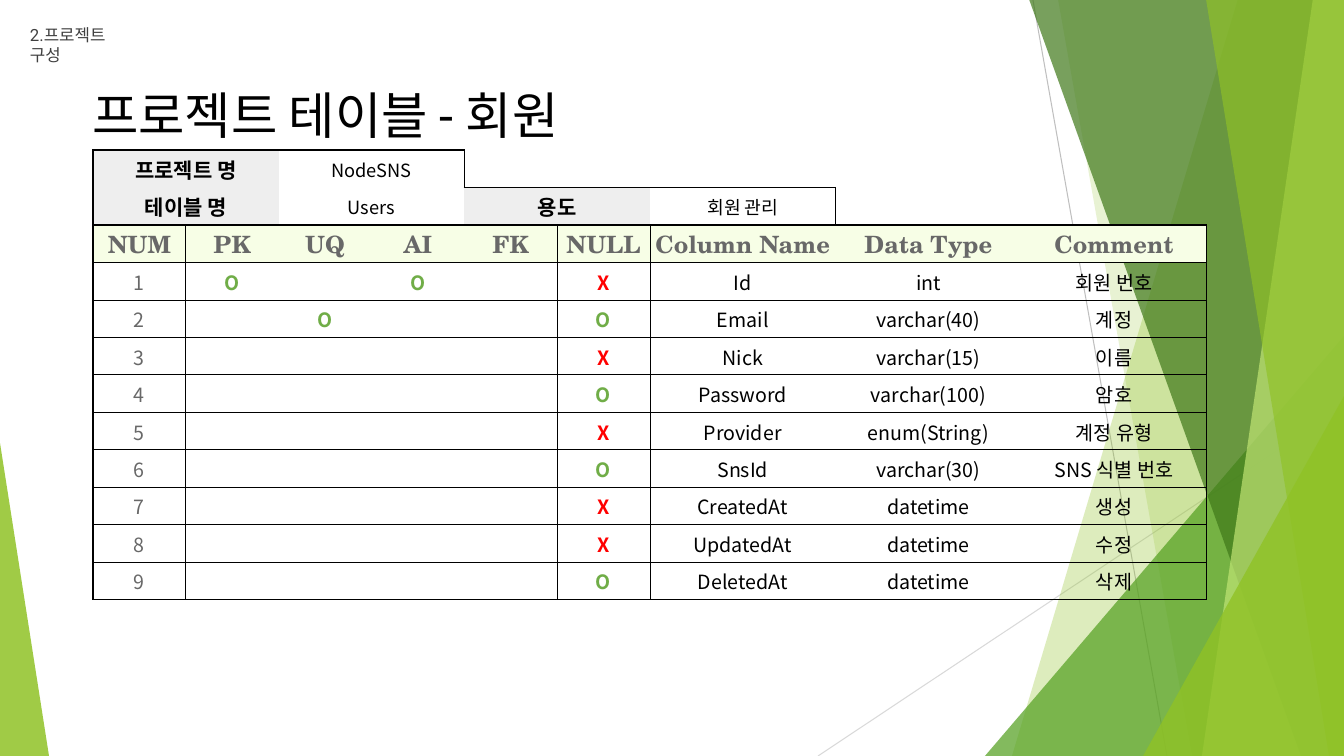
from lxml import etree
from pptx import Presentation
from pptx import util as u
from pptx.dml import color
from pptx.enum import shapes, text
from pptx.oxml import ns

PX = 12192000 / 1344
WIDE, HIGH = 1344, 756
SANS, SERIF, LATIN = "Noto Sans CJK KR", "TeX Gyre Schola", "Roboto"
BLACK, GRAY, GREEN, RED = "000000", "686868", "70AD47", "FF0000"
LABEL, HEAD = "EEEEEE", "F7FEE6"

FLAGS = ["PK", "UQ", "AI", "FK"]
ROWS = [
    ("PK AI", "X", "Id", "int", "회원 번호"),
    ("UQ", "O", "Email", "varchar(40)", "계정"),
    ("", "X", "Nick", "varchar(15)", "이름"),
    ("", "O", "Password", "varchar(100)", "암호"),
    ("", "X", "Provider", "enum(String)", "계정 유형"),
    ("", "O", "SnsId", "varchar(30)", "SNS 식별 번호"),
    ("", "X", "CreatedAt", "datetime", "생성"),
    ("", "X", "UpdatedAt", "datetime", "수정"),
    ("", "O", "DeletedAt", "datetime", "삭제"),
]


def px(*vals):
    return [u.Emu(round(val * PX)) for val in vals]


def rgb(code):
    return color.RGBColor.from_string(code)


def sub(node, tag, **attrs):
    return etree.SubElement(node, ns.qn(tag), **attrs)


def write(frame, words, size=14, face=SANS, tint=BLACK, bold=False, align="LEFT"):
    para = frame.paragraphs[0]
    para.alignment = getattr(text.PP_ALIGN, align)
    run = para.add_run()
    run.text = words
    font = run.font
    font.size, font.bold, font.name = u.Pt(size), bold, face
    font.color.rgb = rgb(tint)
    sub(run._r.get_or_add_rPr(), "a:ea", typeface=SANS)


def paint(shape, tint, alpha):
    shape.shadow.inherit = False
    shape.line.fill.background()
    shape.fill.solid()
    shape.fill.fore_color.rgb = rgb(tint)
    fill = shape.element.spPr.find(".//" + ns.qn("a:srgbClr"))
    sub(fill, "a:alpha", val=str(alpha * 1000))


def line(slide, ends, tint):
    link = slide.shapes.add_connector(shapes.MSO_CONNECTOR.STRAIGHT, *px(*ends))
    link.line.color.rgb = rgb(tint)
    link.line.width = u.Pt(0.75)
    sub(link.element.spPr, "a:effectLst")


def blade(slide, top, foot, tint, alpha):
    pen = slide.shapes.build_freeform(top, -1, scale=PX)
    pen.add_line_segments([(WIDE, -1), (WIDE, HIGH), (foot, HIGH)])
    paint(pen.convert_to_shape(), tint, alpha)


def wedge(slide, box, tip, tint, alpha):
    shape = slide.shapes.add_shape(shapes.MSO_SHAPE.ISOSCELES_TRIANGLE, *px(*box))
    shape.adjustments[0] = tip
    paint(shape, tint, alpha)


def decor(slide):
    line(slide, (1033, 0, 1167, HIGH), "BFBFBF")
    line(slide, (WIDE, 406, 818, HIGH), "D9D9D9")
    blade(slide, 1238, 1012, "90C226", 30)
    blade(slide, 1058, 1192, "90C226", 20)
    wedge(slide, (985, 336, 359, 420), 1, "54A021", 72)
    blade(slide, 1029, 1301, "3F7819", 70)
    blade(slide, 1313, 1202, "C0E474", 70)
    blade(slide, 1206, 1329, "90C226", 65)
    wedge(slide, (1143, 396, 201, 360), 1, "90C226", 80)
    wedge(slide, (0, 443, 49, 313), 0, "90C226", 85)


def title(slide):
    head = slide.shapes.title
    head.left, head.top, head.width, head.height = px(82, 79, 979, 72)
    frame = head.text_frame
    frame.vertical_anchor = text.MSO_ANCHOR.TOP
    frame.auto_size = text.MSO_AUTO_SIZE.SHAPE_TO_FIT_TEXT
    write(frame, "프로젝트 테이블 - 회원", size=36, face=LATIN)
    head.element.getparent().append(head.element)


def label(slide):
    frame = slide.shapes.add_textbox(*px(20, 20, 126, 30)).text_frame
    frame.word_wrap = True
    write(frame, "2.프로젝트 구성", size=12, face=LATIN, tint="404040")


def upright(row, edge):
    inner = {0: 1, 1: 0.5, 5: 0.5, 6: 0.5, 12: 1}
    return {0: {0: 1, 4: 1}, 1: {0: 1, 8: 1}}.get(row, inner).get(edge, 0)


def level(edge, col):
    if edge == 0:
        return int(col < 4)
    if edge == 1:
        return int(4 <= col < 8)
    return 1 if edge in (2, 12) else 0.5


def border(cell, row, col, span):
    sides = [
        ("L", upright(row, col)),
        ("R", upright(row, col + span)),
        ("T", level(row, col)),
        ("B", level(row + 1, col)),
    ]
    props = cell._tc.get_or_add_tcPr()
    for spot, (side, size) in enumerate(sides):
        edge = etree.Element(ns.qn("a:ln" + side), w=str(u.Pt(size)))
        if size:
            sub(sub(edge, "a:solidFill"), "a:srgbClr", val=BLACK)
        else:
            sub(edge, "a:noFill")
        props.insert(spot, edge)


def put(grid, row, col, words, span=1, fill=None, **fmt):
    cell = grid.cell(row, col)
    if span > 1:
        cell.merge(grid.cell(row, col + span - 1))
    if fill:
        cell.fill.solid()
        cell.fill.fore_color.rgb = rgb(fill)
    write(cell.text_frame, words, align="CENTER", **fmt)


def mark(grid, row, col, sign):
    put(grid, row, col, sign, bold=True, tint=GREEN if sign == "O" else RED)


def fill_in(grid):
    info = [(0, 0, "프로젝트 명", "NodeSNS"), (1, 0, "테이블 명", "Users"),
            (1, 4, "용도", "회원 관리")]
    for row, col, name, value in info:
        put(grid, row, col, name, span=2, fill=LABEL, size=15, bold=True)
        put(grid, row, col + 2, value, span=2, size=13)

    for col, name in enumerate(["NUM", *FLAGS, "NULL"]):
        put(grid, 2, col, name, fill=HEAD, size=17, face=SERIF, tint=GRAY, bold=True)
    for pos, name in enumerate(["Column Name", "Data Type", "Comment"]):
        put(grid, 2, 6 + 2 * pos, name, span=2, fill=HEAD, size=17,
            face=SERIF, tint=GRAY, bold=True)

    for num, (keys, null, *facts) in enumerate(ROWS, 1):
        row = num + 2
        put(grid, row, 0, str(num), tint=GRAY)
        for key in keys.split():
            mark(grid, row, 1 + FLAGS.index(key), "O")
        mark(grid, row, 5, null)
        for pos, fact in enumerate(facts):
            put(grid, row, 6 + 2 * pos, fact, span=2)


def table(slide):
    grid = slide.shapes.add_table(12, 12, *px(93, 150, 1114, 450)).table
    grid.first_row = grid.horz_banding = False
    for cell in grid.iter_cells():
        cell.fill.background()
        cell.vertical_anchor = text.MSO_ANCHOR.MIDDLE
        cell.margin_left, cell.margin_right, cell.margin_top = px(1, 1, 1)
        cell.margin_bottom = 0
    fill_in(grid)
    for row in range(12):
        for col in range(12):
            cell = grid.cell(row, col)
            border(cell, row, col, cell.span_width if cell.is_merge_origin else 1)


def main():
    deck = Presentation()
    deck.slide_width, deck.slide_height = px(WIDE, HIGH)
    slide = deck.slides.add_slide(deck.slide_layouts[5])
    decor(slide)
    title(slide)
    label(slide)
    table(slide)
    deck.save("out.pptx")


if __name__ == "__main__":
    main()
